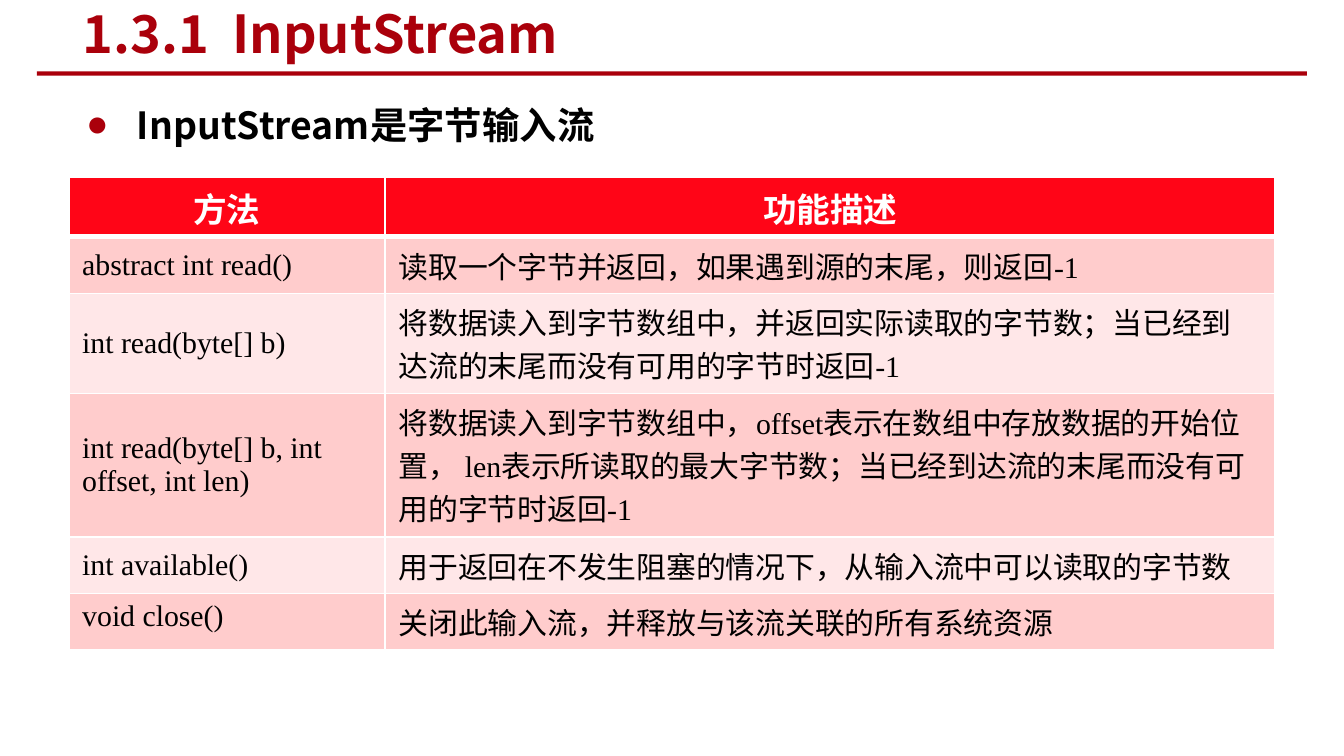
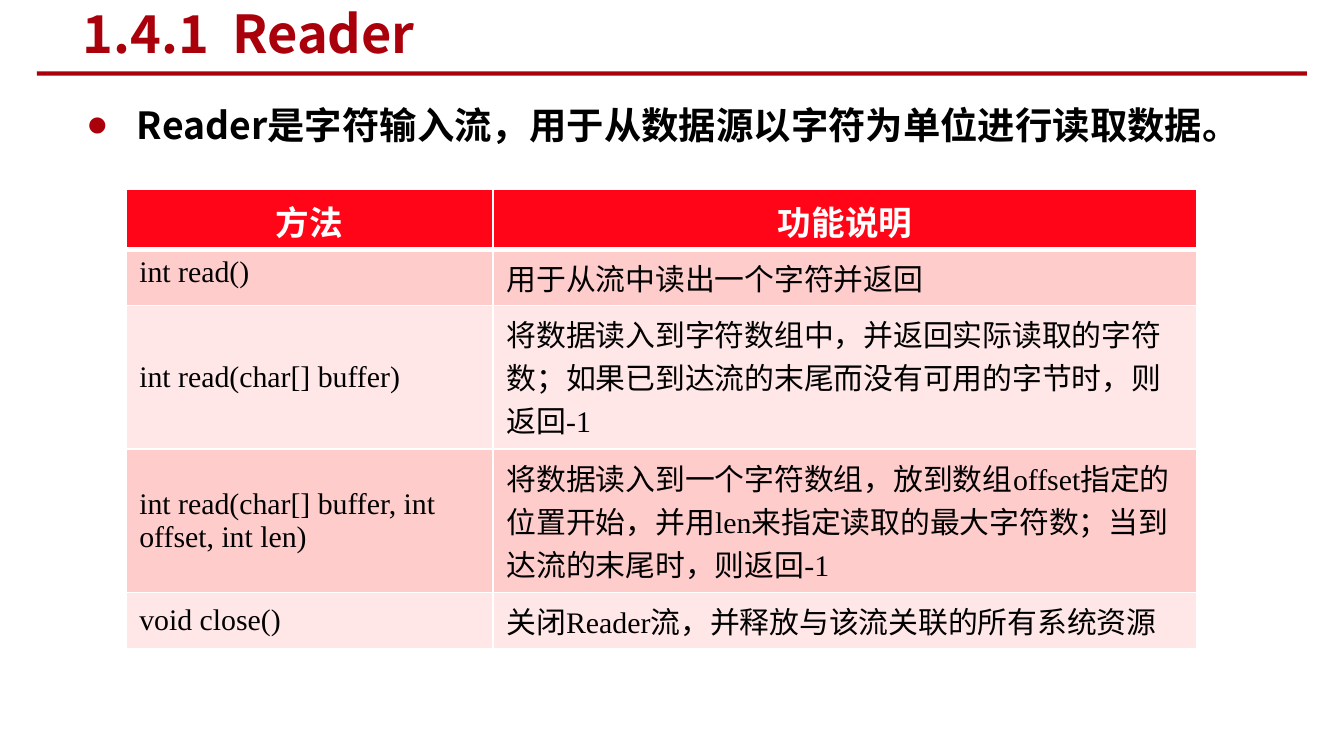
from dataclasses import dataclass

from lxml.etree import SubElement
from pptx import Presentation
from pptx.dml.color import RGBColor
from pptx.enum.shapes import MSO_SHAPE
from pptx.enum.text import MSO_ANCHOR, PP_ALIGN
from pptx.oxml.ns import qn
from pptx.slide import Slide
from pptx.table import _Cell
from pptx.text.text import TextFrame, _Paragraph
from pptx.util import Cm, Pt

# Shared look
COLORS = {
    "brand": "AA000B",
    "header": "FF0517",
    "odd_row": "FFCCCC",
    "even_row": "FFE7E8",
    "white": "FFFFFF",
    "black": "000000",
}
CJK_FONT = "Noto Sans CJK SC"
LATIN_FONT = "Times New Roman"
FORMATS = {
    "title": {"name": CJK_FONT, "size": Pt(28), "bold": True},
    "point": {"name": CJK_FONT, "size": Pt(20), "bold": True},
    "header": {"name": "Calibri", "size": Pt(18), "bold": True},
    "cell": {"name": LATIN_FONT, "size": Pt(16), "bold": False},
}
FORMAT_COLORS = {"title": "brand", "point": "black", "header": "white", "cell": "black"}
POINT_LAYOUT = {"line_spacing": 1.5, "space_before": Pt(4)}

# Row heights in centimetres
HEADER_HEIGHT = 1.13
CELL_PADDING = 0.25
LINE_HEIGHT = 0.82


@dataclass
class Method:
    signature: str
    description: str
    lines: int = 1
    anchor: MSO_ANCHOR = MSO_ANCHOR.MIDDLE

    def row_height(self) -> float:
        return CELL_PADDING + LINE_HEIGHT * self.lines


@dataclass
class MethodPage:
    title: str
    point: str
    description_header: str
    left: float
    top: float
    column_widths: tuple[float, float]
    methods: list[Method]


PAGES = [
    MethodPage(
        "1.3.1  InputStream", "InputStream是字节输入流", "功能描述",
        1.3, 3.35, (5.98, 16.82),
        [
            Method("abstract int read()", "读取一个字节并返回，如果遇到源的末尾，则返回-1"),
            Method("int read(byte[] b)",
                   "将数据读入到字节数组中，并返回实际读取的字节数；"
                   "当已经到达流的末尾而没有可用的字节时返回-1", 2),
            Method("int read(byte[] b, int offset, int len)",
                   "将数据读入到字节数组中，offset表示在数组中存放数据的开始位置，"
                   " len表示所读取的最大字节数；当已经到达流的末尾而没有可用的字节时返回-1", 3),
            Method("int available()", "用于返回在不发生阻塞的情况下，从输入流中可以读取的字节数"),
            Method("void close()", "关闭此输入流，并释放与该流关联的所有系统资源",
                   anchor=MSO_ANCHOR.TOP),
        ],
    ),
    MethodPage(
        "1.4.1  Reader", "Reader是字符输入流，用于从数据源以字符为单位进行读取数据。", "功能说明",
        2.38, 3.58, (6.94, 13.3),
        [
            Method("int read()", "用于从流中读出一个字符并返回", anchor=MSO_ANCHOR.TOP),
            Method("int read(char[] buffer)",
                   "将数据读入到字符数组中，并返回实际读取的字符数；"
                   "如果已到达流的末尾而没有可用的字节时，则返回-1", 3),
            Method("int read(char[] buffer, int offset, int len)",
                   "将数据读入到一个字符数组，放到数组offset指定的位置开始，"
                   "并用len来指定读取的最大字符数；当到达流的末尾时，则返回-1", 3),
            Method("void close()", "关闭Reader流，并释放与该流关联的所有系统资源"),
        ],
    ),
]


def color(name: str) -> RGBColor:
    return RGBColor.from_string(COLORS[name])


def write(frame: TextFrame, text: str, style: str) -> _Paragraph:
    """Fill the first paragraph of a frame with one formatted span."""
    para = frame.paragraphs[0]
    span = para.add_run()
    span.text = text
    for name, value in FORMATS[style].items():
        setattr(span.font, name, value)
    span.font.color.rgb = color(FORMAT_COLORS[style])
    SubElement(span.font._element, qn("a:ea"), typeface=CJK_FONT)
    return para


def add_text(page: Slide, left: float, top: float, width: float, height: float,
             text: str, style: str, anchor: MSO_ANCHOR) -> _Paragraph:
    box = page.shapes.add_textbox(Cm(left), Cm(top), Cm(width), Cm(height))
    frame = box.text_frame
    frame.word_wrap = True
    frame.vertical_anchor = anchor
    return write(frame, text, style)


def add_bullet(para: _Paragraph) -> None:
    for name, value in POINT_LAYOUT.items():
        setattr(para, name, value)
    properties = para._p.get_or_add_pPr()
    properties.set("marL", str(Cm(0.96)))
    properties.set("indent", str(-Cm(0.96)))
    bullet_color = SubElement(properties, qn("a:buClr"))
    SubElement(bullet_color, qn("a:srgbClr"), val=COLORS["brand"])
    SubElement(properties, qn("a:buFont"), typeface=LATIN_FONT)
    SubElement(properties, qn("a:buChar"), char="●")


def add_heading(page: Slide, title: str) -> None:
    """Draw the title and the rule below it."""
    rule = page.shapes.add_shape(MSO_SHAPE.RECTANGLE, Cm(0.7), Cm(1.35), Cm(24), Cm(0.08))
    rule.shadow.inherit = False
    rule.fill.solid()
    rule.fill.fore_color.rgb = color("brand")
    rule.line.fill.background()
    add_text(page, 1.31, 0.05, 15.6, 1.14, title, "title", MSO_ANCHOR.MIDDLE)


def style_cell(cell: _Cell, fill: str, bottom_width: int) -> None:
    properties = cell._tc.get_or_add_tcPr()
    for side, width in {"lnL": 1, "lnR": 1, "lnT": 1, "lnB": bottom_width}.items():
        border = SubElement(properties, qn(f"a:{side}"), w=str(Pt(width)))
        line_fill = SubElement(border, qn("a:solidFill"))
        SubElement(line_fill, qn("a:srgbClr"), val=COLORS["white"])
    cell.fill.solid()
    cell.fill.fore_color.rgb = color(fill)


def add_method_table(page: Slide, content: MethodPage) -> None:
    heights = [HEADER_HEIGHT] + [method.row_height() for method in content.methods]
    table = page.shapes.add_table(
        len(heights), 2, Cm(content.left), Cm(content.top),
        Cm(sum(content.column_widths)), Cm(sum(heights)),
    ).table
    for column, width in zip(table.columns, content.column_widths):
        column.width = Cm(width)
    for row, height in zip(table.rows, heights):
        row.height = Cm(height)

    # Header row
    for cell, text in zip(table.rows[0].cells, ("方法", content.description_header)):
        style_cell(cell, "header", 3)
        write(cell.text_frame, text, "header").alignment = PP_ALIGN.CENTER

    # Method rows in alternating tints
    for index, method in enumerate(content.methods, start=1):
        cells = table.rows[index].cells
        for cell, text in zip(cells, (method.signature, method.description)):
            style_cell(cell, "odd_row" if index % 2 else "even_row", 1)
            write(cell.text_frame, text, "cell")
        cells[0].vertical_anchor = method.anchor


def main() -> None:
    deck = Presentation()
    deck.slide_width, deck.slide_height = Cm(25.4), Cm(14.29)
    for content in PAGES:
        page = deck.slides.add_slide(deck.slide_layouts[6])
        add_heading(page, content.title)
        add_bullet(add_text(page, 1.38, 1.38, 22.8, 1.9, content.point, "point", MSO_ANCHOR.TOP))
        add_method_table(page, content)
    deck.save("out.pptx")


if __name__ == "__main__":
    main()
